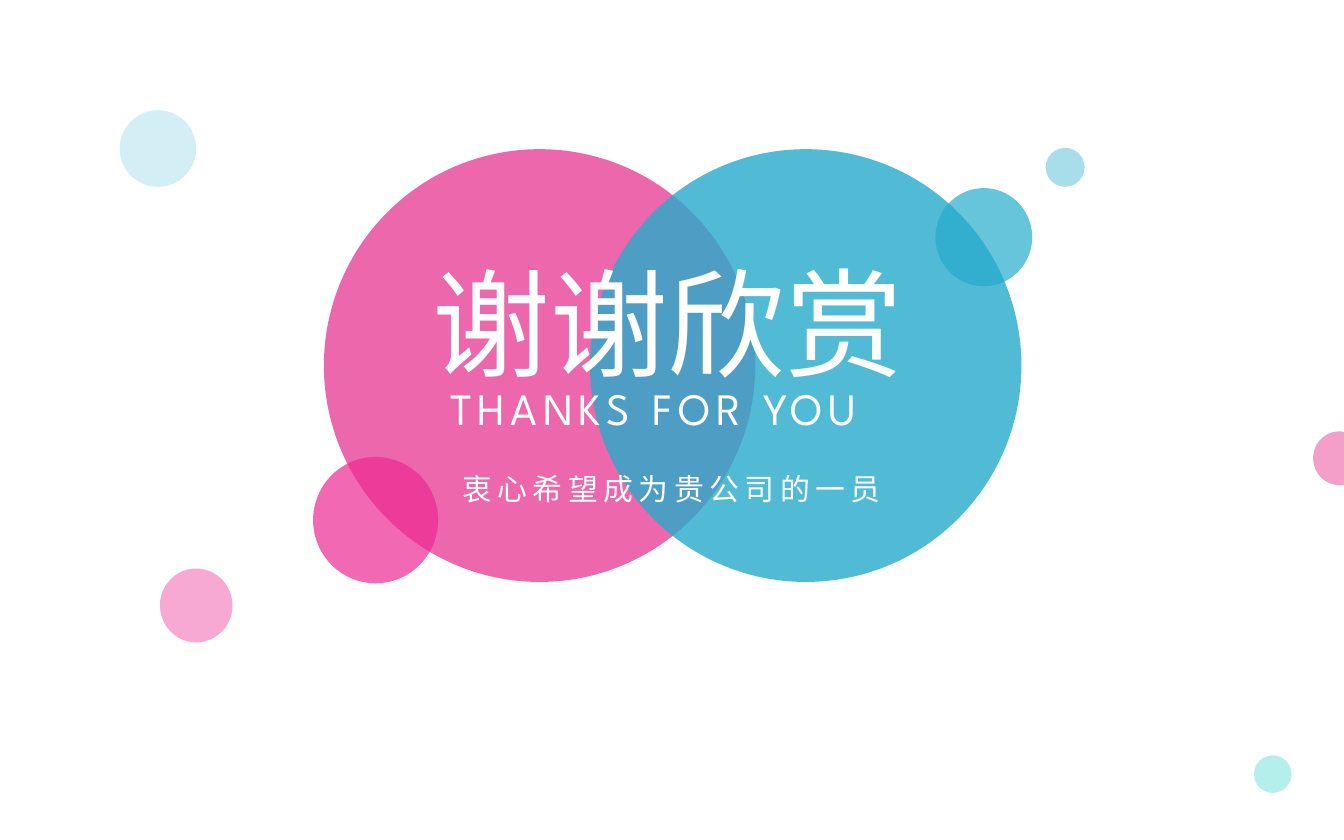
from lxml import etree
from pptx import Presentation
from pptx.dml.color import RGBColor
from pptx.enum import shapes, text
from pptx.oxml import ns
from pptx.util import Inches, Pt

PINK = RGBColor(0xEB, 0x5F, 0xA8)
MAGENTA = RGBColor(0xEE, 0x29, 0x92)
BLUE = RGBColor(0x26, 0xAB, 0xCC)
TEAL = RGBColor(0x0D, 0xCC, 0xC0)
WHITE = RGBColor(0xFF, 0xFF, 0xFF)

LATIN_FONT = "League Spartan"
CHINESE_FONT = "Noto Sans CJK SC"

# left, top, width, height, colour, opacity in percent
MAIN_CIRCLES = [
    (2.41, 1.11, 3.21, 3.22, PINK, 95),
    (4.39, 1.11, 3.21, 3.22, BLUE, 80),
]
BUBBLES = [
    (6.96, 1.4, 0.72, 0.73, BLUE, 70),
    (2.33, 3.4, 0.93, 0.94, MAGENTA, 70),
    (1.19, 4.23, 0.54, 0.55, MAGENTA, 40),
    (9.77, 3.21, 0.39, 0.4, PINK, 60),
    (9.33, 5.62, 0.28, 0.28, TEAL, 30),
    (0.89, 0.82, 0.57, 0.57, BLUE, 20),
    (7.78, 1.1, 0.29, 0.29, BLUE, 40),
]
# left, top, width, height, wording, font, size, letter spacing in points
CAPTIONS = [
    (3.25, 2.78, 3.59, 0.5, "THANKS FOR YOU", LATIN_FONT, 24, 3),
    (3.12, 1.82, 3.85, 1.19, "谢谢欣赏", CHINESE_FONT, 63, 0),
    (3.34, 3.45, 3.4, 0.37, "衷心希望成为贵公司的一员", CHINESE_FONT, 16, 3),
]


def add_circle(slide, left, top, width, height, colour, opacity):
    circle = slide.shapes.add_shape(
        shapes.MSO_SHAPE.OVAL, *map(Inches, (left, top, width, height)))
    circle.shadow.inherit = False
    circle.line.fill.background()
    circle.fill.solid()
    circle.fill.fore_color.rgb = colour
    colour_element = circle.fill._xPr.find(".//" + ns.qn("a:srgbClr"))
    etree.SubElement(colour_element, ns.qn("a:alpha"), val=str(opacity * 1000))


def add_caption(slide, left, top, width, height, wording, font, size, spacing):
    box = slide.shapes.add_textbox(*map(Inches, (left, top, width, height)))
    frame = box.text_frame
    frame.word_wrap = False
    frame.auto_size = text.MSO_AUTO_SIZE.SHAPE_TO_FIT_TEXT
    run = frame.paragraphs[0].add_run()
    run.text = wording
    for name, value in {"name": font, "size": Pt(size)}.items():
        setattr(run.font, name, value)
    run.font.color.rgb = WHITE
    properties = run._r.get_or_add_rPr()
    properties.set("spc", str(spacing * 100))
    etree.SubElement(properties, ns.qn("a:ea"), typeface=font)


def main():
    presentation = Presentation()
    presentation.slide_width = Inches(10)
    presentation.slide_height = Inches(6.25)
    slide = presentation.slides.add_slide(presentation.slide_layouts[6])
    for circle in MAIN_CIRCLES + BUBBLES:
        add_circle(slide, *circle)
    for caption in CAPTIONS:
        add_caption(slide, *caption)
    presentation.save("out.pptx")


if __name__ == "__main__":
    main()
